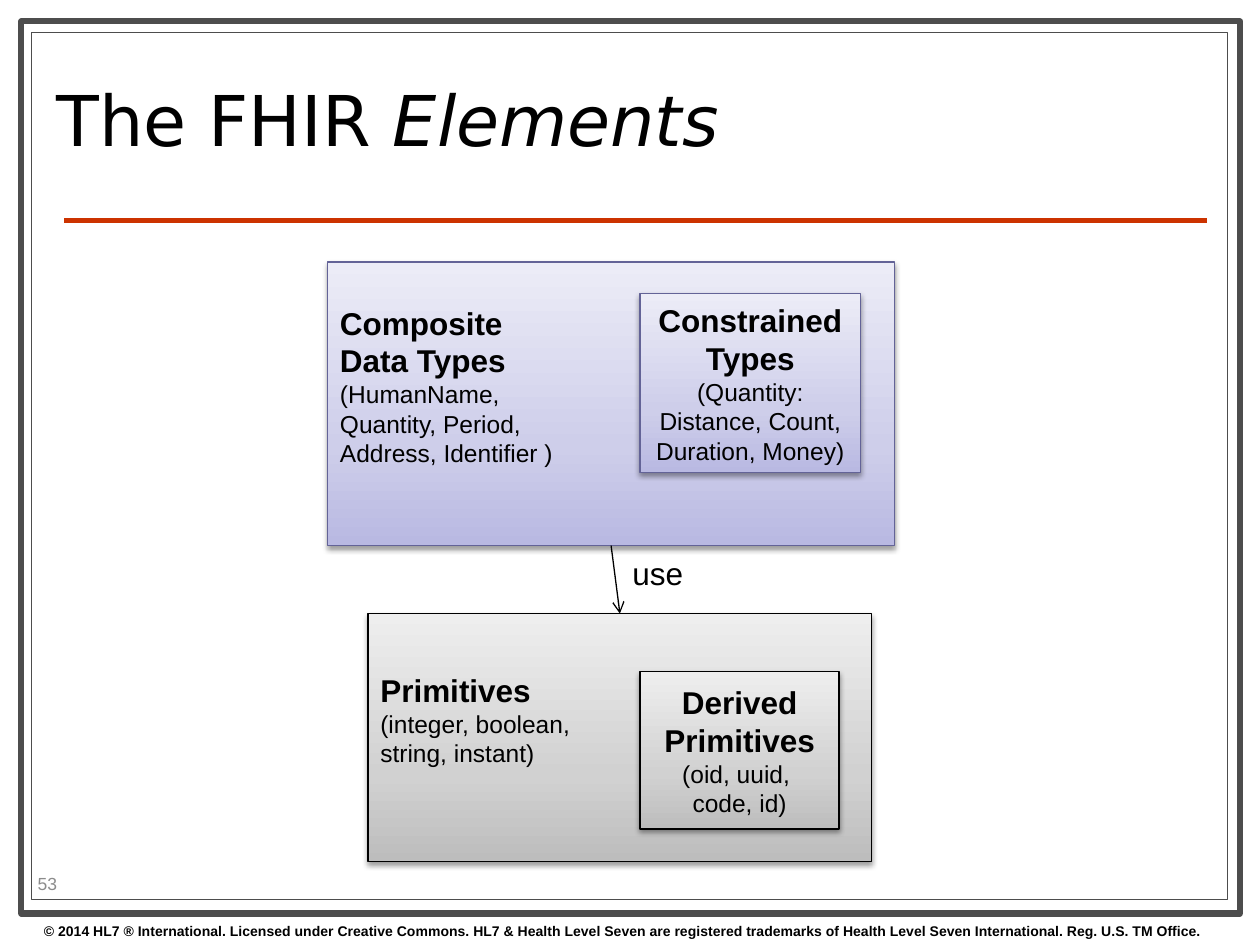
from copy import deepcopy
from dataclasses import dataclass

from lxml.etree import SubElement
from pptx import Presentation
from pptx.dml.color import RGBColor as Rgb
from pptx.enum.shapes import MSO_CONNECTOR as Connector, MSO_SHAPE as Shape
from pptx.enum.text import MSO_ANCHOR as Anchor, PP_ALIGN as Align
from pptx.oxml.ns import qn
from pptx.util import Inches, Pt


@dataclass(frozen=True)
class Palette:
    line: str
    stops: tuple[tuple[float, str], ...]  # from bottom to top


@dataclass(frozen=True)
class Theme:
    font: str = "Arial"
    title_font: str = "DejaVu Sans"
    ink: str = "000000"
    paper: str = "FFFFFF"
    frame: str = "4D4D4D"
    rule: str = "CC3300"
    muted: str = "8C8C8C"
    title: float = 40
    heading: float = 18
    detail: float = 14
    number: float = 10
    footer: float = 8
    gray: Palette = Palette("000000", ((0, "BDBDBD"), (0.35, "D1D1D1"), (1, "EEEEEE")))
    lilac: Palette = Palette("636397", ((0, "B9B9E2"), (0.35, "CECEEA"), (1, "ECECF7")))


THEME = Theme()


@dataclass(frozen=True)
class TypeBox:
    left: float
    top: float
    width: float
    height: float
    palette: Palette
    headings: tuple[str, ...]
    details: tuple[str, ...]
    nested: bool = False


PRIMITIVES = TypeBox(2.92, 4.87, 4, 1.97, THEME.gray, ("Primitives",),
                     ("(integer, boolean,", "string, instant)"))
DERIVED = TypeBox(5.08, 5.33, 1.58, 1.25, THEME.gray, ("Derived Primitives",),
                  ("(oid, uuid, ", "code, id)"), nested=True)
COMPOSITE = TypeBox(2.6, 2.08, 4.5, 2.25, THEME.lilac, ("Composite", "Data Types"),
                    ("(HumanName, ", "Quantity, Period,", "Address, Identifier )"))
CONSTRAINED = TypeBox(5.08, 2.33, 1.75, 1.42, THEME.lilac, ("Constrained Types",),
                      ("(Quantity: Distance, Count, Duration, Money)",), nested=True)


def style_font(font, size: float, color: str = THEME.ink, bold: bool = False,
               name: str = THEME.font) -> None:
    font.name, font.size, font.bold = name, Pt(size), bold
    font.color.rgb = Rgb.from_string(color)


def add_label(page, text: str, left: float, top: float, width: float, height: float,
              size: float, color: str = THEME.ink, bold: bool = False,
              name: str = THEME.font, anchor=Anchor.TOP, wrap: bool = True):
    box = page.shapes.add_textbox(Inches(left), Inches(top), Inches(width), Inches(height))
    frame = box.text_frame
    frame.word_wrap, frame.vertical_anchor = wrap, anchor
    frame.text = text
    para = frame.paragraphs[0]
    style_font(para.runs[0].font, size, color, bold, name)
    return para


def add_frame(page, left: float, top: float, width: float, height: float,
              weight: float) -> None:
    border = page.shapes.add_shape(Shape.RECTANGLE, Inches(left), Inches(top),
                                   Inches(width), Inches(height))
    border.shadow.inherit = False
    border.fill.solid()
    border.fill.fore_color.rgb = Rgb.from_string(THEME.paper)
    border.line.color.rgb = Rgb.from_string(THEME.frame)
    border.line.width = Pt(weight)


def add_line(page, start: tuple[float, float], end: tuple[float, float],
             color: str, weight: float):
    line = page.shapes.add_connector(Connector.STRAIGHT, *map(Inches, start + end))
    line.line.color.rgb = Rgb.from_string(color)
    line.line.width = Pt(weight)
    SubElement(line._element.spPr, qn("a:effectLst"))
    return line


def fill_gradient(shape, palette: Palette) -> None:
    shape.fill.gradient()
    shape.fill.gradient_angle = 90
    stop_list = shape._element.spPr.find(qn("a:gradFill")).find(qn("a:gsLst"))
    stop_list.append(deepcopy(stop_list[0]))
    for stop, (position, color) in zip(shape.fill.gradient_stops, palette.stops):
        stop.position = position
        stop.color.rgb = Rgb.from_string(color)


def add_soft_shadow(shape) -> None:
    shape.shadow.inherit = False
    effects = shape._element.spPr.find(qn("a:effectLst"))
    shadow = SubElement(effects, qn("a:outerShdw"), blurRad="40000", dist="20000",
                        dir="5400000", rotWithShape="0")
    color = SubElement(shadow, qn("a:srgbClr"), val=THEME.ink)
    SubElement(color, qn("a:alpha"), val="38000")


def add_type_box(page, item: TypeBox):
    box = page.shapes.add_shape(Shape.RECTANGLE, Inches(item.left), Inches(item.top),
                                Inches(item.width), Inches(item.height))
    fill_gradient(box, item.palette)
    box.line.color.rgb = Rgb.from_string(item.palette.line)
    box.line.width = Pt(0.75)
    add_soft_shadow(box)

    frame = box.text_frame
    frame.word_wrap, frame.vertical_anchor = True, Anchor.MIDDLE
    if not item.nested:
        frame.margin_bottom = Inches(0.34)  # lifts the text above the middle
    frame.text = "\n".join(item.headings + item.details)
    for index, para in enumerate(frame.paragraphs):
        heading = index < len(item.headings)
        para.alignment = Align.CENTER if item.nested else Align.LEFT
        style_font(para.runs[0].font, THEME.heading if heading else THEME.detail,
                   bold=heading)
    return box


def main() -> None:
    deck = Presentation()
    deck.slide_width, deck.slide_height = Inches(10), Inches(7.5)
    page = deck.slides.add_slide(deck.slide_layouts[6])

    # Page frame, rule and footer
    add_frame(page, 0.17, 0.17, 9.67, 7.08, 3.5)
    add_frame(page, 0.25, 0.26, 9.49, 6.88, 0.75)
    add_line(page, (0.51, 1.75), (9.58, 1.75), THEME.rule, 3)
    add_label(page, "© 2014 HL7 ® International. Licensed under Creative Commons. "
              "HL7 & Health Level Seven are registered trademarks of "
              "Health Level Seven International. Reg. U.S. TM Office.",
              0.25, 7.27, 10, 0.23, THEME.footer, bold=True)

    # Title and page number
    title = add_label(page, "The FHIR ", 0.35, 0.36, 7.17, 1.29, THEME.title,
                      name=THEME.title_font, anchor=Anchor.MIDDLE)
    title.line_spacing = 0.8
    span = title.add_run()
    span.text = "Elements"
    style_font(span.font, THEME.title, name=THEME.title_font)
    span.font.italic = True
    add_label(page, "53", 0.2, 6.89, 0.79, 0.24, THEME.number, THEME.muted,
              anchor=Anchor.MIDDLE)

    # Data type boxes, each followed by the one nested in it
    primitives = add_type_box(page, PRIMITIVES)
    add_type_box(page, DERIVED)
    composite = add_type_box(page, COMPOSITE)
    add_type_box(page, CONSTRAINED)

    # Arrow from composite types to primitives
    arrow = add_line(page, (4.85, 4.33), (4.92, 4.87), THEME.ink, 0.75)
    arrow.begin_connect(composite, 2)
    arrow.end_connect(primitives, 0)
    SubElement(arrow._element.spPr.find(qn("a:ln")), qn("a:tailEnd"), type="arrow")
    add_label(page, "use", 4.92, 4.35, 0.61, 0.4, THEME.heading, wrap=False)

    deck.save("out.pptx")


if __name__ == "__main__":
    main()
